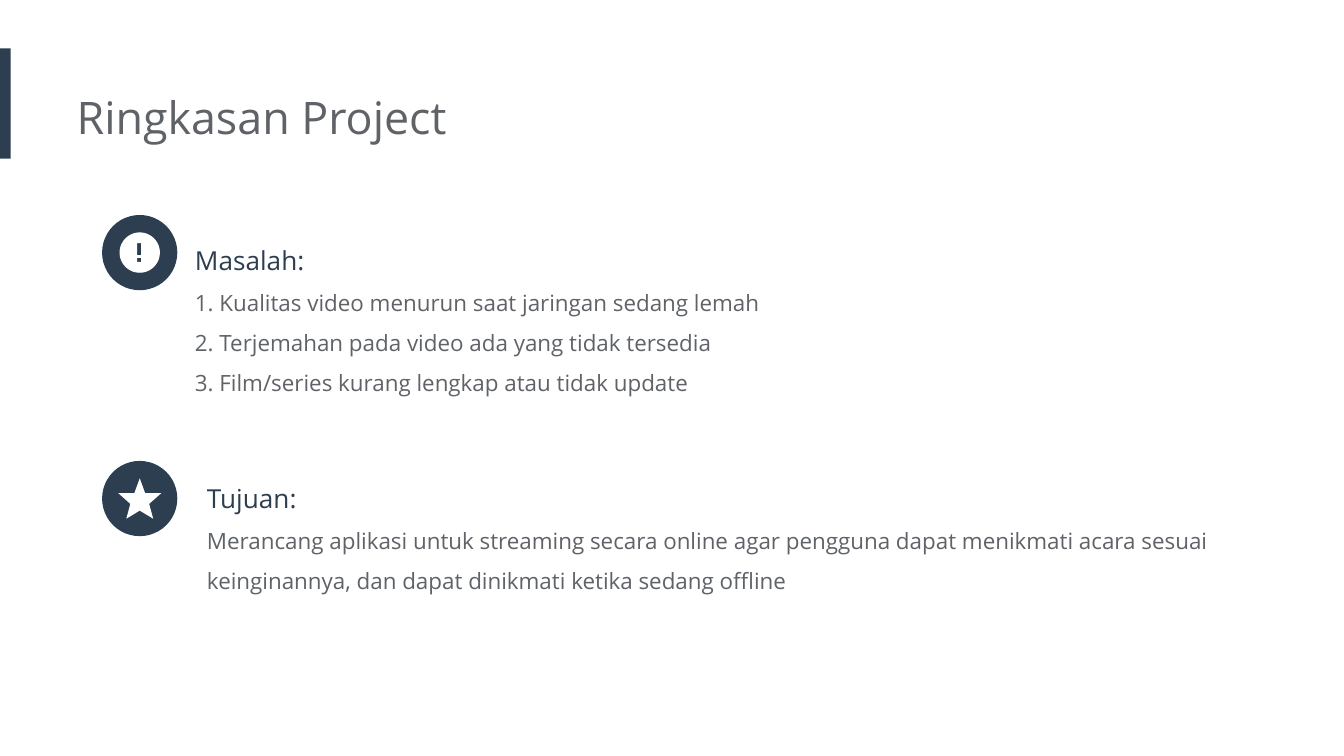
from math import cos, pi, sin

from lxml.etree import SubElement
from pptx import Presentation
from pptx.dml.color import RGBColor
from pptx.enum.shapes import MSO_SHAPE
from pptx.enum.text import MSO_ANCHOR, MSO_AUTO_SIZE, PP_ALIGN
from pptx.oxml.ns import qn
from pptx.util import Inches, Pt

NAVY = RGBColor(0x2D, 0x3E, 0x50)
GRAY = RGBColor(0x5F, 0x63, 0x68)
WHITE = RGBColor(0xFF, 0xFF, 0xFF)
FONT = "Open Sans"


def write(para, text, size=12, color=GRAY, gap=1.5):
    """Put unbulleted, left-aligned text in a paragraph."""
    props = para._p.get_or_add_pPr()
    props.set("marL", "0")
    props.set("indent", "0")
    SubElement(props, qn("a:buNone"))
    para.text = text
    para.alignment = PP_ALIGN.LEFT
    para.line_spacing = gap
    para.space_before = Pt(0)
    para.font.name = FONT
    para.font.size = Pt(size)
    para.font.color.rgb = color


class Page:
    def __init__(self, slide):
        self.slide = slide
        self.shapes = slide.shapes

    def frame(self, holder, left, top, width, height):
        holder.left, holder.top = Inches(left), Inches(top)
        holder.width, holder.height = Inches(width), Inches(height)
        frame = holder.text_frame
        frame.word_wrap = True
        frame.auto_size = MSO_AUTO_SIZE.NONE
        frame.vertical_anchor = MSO_ANCHOR.TOP
        frame.margin_left = 0
        frame.margin_top = frame.margin_right = frame.margin_bottom = Inches(0.1)
        return frame

    def title(self, text, *box):
        frame = self.frame(self.shapes.title, *box)
        write(frame.paragraphs[0], text, size=24, gap=1.0)

    def body(self, index, head, lines, *box):
        frame = self.frame(self.slide.placeholders[index], *box)
        write(frame.paragraphs[0], head, size=14, color=NAVY)
        for line in lines:
            write(frame.add_paragraph(), line)

    def paint(self, shape, color):
        shape.shadow.inherit = False
        shape.fill.solid()
        shape.fill.fore_color.rgb = color
        shape.line.fill.background()

    def block(self, kind, left, top, width, height):
        shape = self.shapes.add_shape(
            kind, Inches(left), Inches(top), Inches(width), Inches(height))
        self.paint(shape, NAVY)

    def icon(self, *rings):
        """Draw closed rings as one outline; inner rings become holes."""
        rings = [[(Inches(x), Inches(y)) for x, y in ring] for ring in rings]
        pen = self.shapes.build_freeform(*rings[0][0])
        pen.add_line_segments(rings[0][1:])
        for ring in rings[1:]:
            pen.move_to(*ring[0])
            pen.add_line_segments(ring[1:])
        self.paint(pen.convert_to_shape(), WHITE)


def disc(x, y, radius, steps=72):
    turns = [2 * pi * i / steps for i in range(steps)]
    return [(x + radius * cos(t), y + radius * sin(t)) for t in turns]


def box(left, top, right, bottom):
    return [(left, top), (right, top), (right, bottom), (left, bottom)]


def main():
    deck = Presentation()
    # Widescreen, 16 to 9
    deck.slide_width = Inches(10)
    deck.slide_height = Inches(10) * 9 // 16
    page = Page(deck.slides.add_slide(deck.slide_layouts[3]))

    # Accent bar and title
    page.block(MSO_SHAPE.RECTANGLE, 0, 0.36, 0.08, 0.82)
    page.title("Ringkasan Project", 0.57, 0.57, 6.73, 0.61)

    # Problem and goal
    page.body(1, "Masalah:", [
        "1. Kualitas video menurun saat jaringan sedang lemah\v"
        "2. Terjemahan pada video ada yang tidak tersedia",
        "3. Film/series kurang lengkap atau tidak update",
    ], 1.45, 1.6, 7.79, 1.36)
    page.body(2, "Tujuan:", [
        "Merancang aplikasi untuk streaming secara online agar pengguna "
        "dapat menikmati acara sesuai keinginannya, dan dapat dinikmati "
        "ketika sedang offline",
    ], 1.54, 3.37, 7.7, 1.06)

    # Round badges
    for top in (1.6, 3.43):
        page.block(MSO_SHAPE.OVAL, 0.76, top, 0.56, 0.56)

    # Alert icon: a disc with the mark cut out
    page.icon(disc(1.04, 1.88, 0.15),
              box(1.02, 1.81, 1.05, 1.9), box(1.02, 1.92, 1.05, 1.95))

    # Star icon: the right half, mirrored
    mid = 1.04
    half = [(0, 3.56), (0.04, 3.67), (0.16, 3.67),
            (0.07, 3.75), (0.1, 3.86), (0, 3.8)]
    page.icon([(mid + x, y) for x, y in half]
              + [(mid - x, y) for x, y in half[-2:0:-1]])

    deck.save("out.pptx")


if __name__ == "__main__":
    main()
